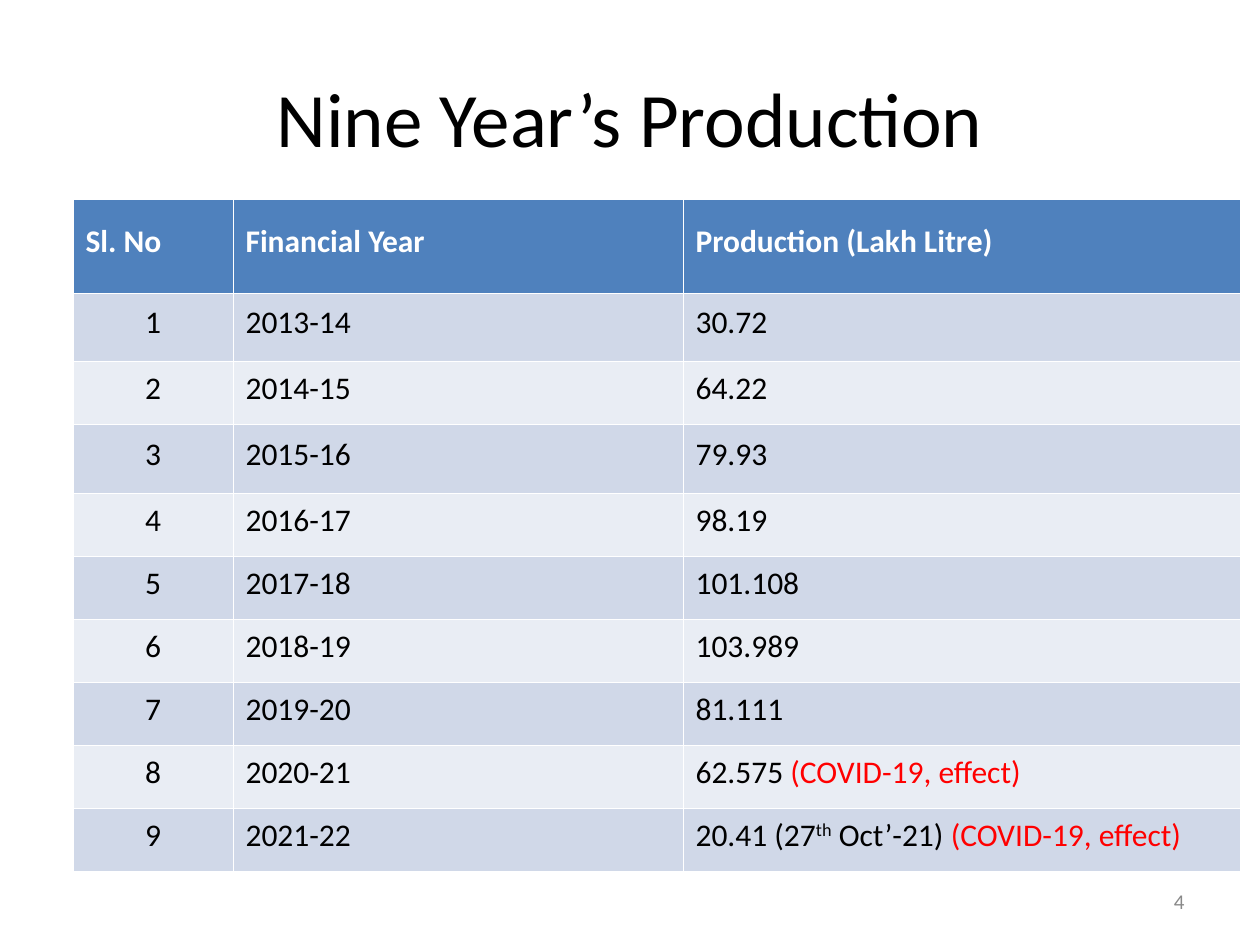
"""Build the slide with the table of nine years of production."""
from lxml import etree
from pptx import Presentation, util as u
from pptx.dml.color import RGBColor
from pptx.enum import text as t
from pptx.oxml import ns

TITLE = "Nine Year’s Production"
PAGE_NUMBER = "4"
HEADERS = ("Sl. No", "Financial Year", "Production (Lakh Litre)")
FIRST_YEAR = 2013
COVID = ("(COVID-19, effect)", "red")
PRODUCTION = (
    "30.72", "64.22", "79.93", "98.19", "101.108", "103.989", "81.111",
    ("62.575 ", COVID),
    ("20.41 (27", ("th", "black", 30), " Oct’-21) ", COVID),
)
COLORS = {
    "black": "000000", "white": "FFFFFF", "red": "FF0000", "gray": "898989",
    "header": "4F81BD", "odd": "D0D8E8", "even": "E9EDF4",
}
COLUMN_WIDTHS = (160, 450, 557)
ROW_HEIGHTS = (94, 68, 63, 69) + (63,) * 6
TABLE_LEFT, TABLE_TOP = 73, 199
TITLE_BOX = (63, 38, 1134, 157)
NUMBER_BOX = (903, 876, 294, 50)
FONT = "Calibri"
BORDER_WIDTH = 762
ALIGN = {"left": t.PP_ALIGN.LEFT, "center": t.PP_ALIGN.CENTER, "right": t.PP_ALIGN.RIGHT}


def px(length):
    return u.Emu(round(length * 914400 / 126))


def rgb(name):
    return RGBColor.from_string(COLORS[name])


def write(frame, content, size=18, color="black", bold=False, align="left", spacing=None):
    frame.word_wrap = True
    paragraph = frame.paragraphs[0]
    paragraph.alignment = ALIGN[align]
    paragraph.line_spacing = spacing
    for part in (content,) if isinstance(content, str) else content:
        words, tint, *raised = (part, color) if isinstance(part, str) else part
        run = paragraph.add_run()
        run.text = words
        run.font.name, run.font.size, run.font.bold = FONT, u.Pt(size), bold
        run.font.color.rgb = rgb(tint)
        for percent in raised:
            run._r.get_or_add_rPr().set("baseline", str(percent * 1000))


def add_text(slide, box, content, **style):
    shape = slide.shapes.add_textbox(*map(px, box))
    shape.text_frame.vertical_anchor = t.MSO_ANCHOR.MIDDLE
    write(shape.text_frame, content, **style)


def style_cell(cell, fill):
    properties = cell._tc.get_or_add_tcPr()
    for side in ("a:lnL", "a:lnR", "a:lnT", "a:lnB"):
        line = etree.SubElement(properties, ns.qn(side), w=str(BORDER_WIDTH))
        solid = etree.SubElement(line, ns.qn("a:solidFill"))
        etree.SubElement(solid, ns.qn("a:srgbClr"), val=COLORS["white"])
    cell.fill.solid()
    cell.fill.fore_color.rgb = rgb(fill)
    cell.vertical_anchor = t.MSO_ANCHOR.MIDDLE


def add_production_table(slide):
    rows = [HEADERS]
    for index, amount in enumerate(PRODUCTION):
        year = FIRST_YEAR + index
        rows.append((str(index + 1), f"{year}-{(year + 1) % 100}", amount))
    size = (sum(COLUMN_WIDTHS), sum(ROW_HEIGHTS))
    frame = slide.shapes.add_table(
        len(rows), len(HEADERS), *map(px, (TABLE_LEFT, TABLE_TOP, *size)))
    table = frame.table
    for column, width in zip(table.columns, COLUMN_WIDTHS):
        column.width = px(width)
    for row, height in zip(table.rows, ROW_HEIGHTS):
        row.height = px(height)
    for i, row in enumerate(rows):
        header = i == 0
        fill = "header" if header else ("even", "odd")[i % 2]
        for j, content in enumerate(row):
            cell = table.cell(i, j)
            style_cell(cell, fill)
            write(cell.text_frame, content, bold=header, spacing=0.58,
                  color="white" if header else "black",
                  align="center" if j == 0 and not header else "left")


def main():
    presentation = Presentation()
    presentation.slide_width, presentation.slide_height = px(1260), px(945)
    slide = presentation.slides.add_slide(presentation.slide_layouts[6])
    add_text(slide, TITLE_BOX, TITLE, size=44, align="center")
    add_production_table(slide)
    add_text(slide, NUMBER_BOX, PAGE_NUMBER, size=12, color="gray", align="right")
    presentation.save("out.pptx")


if __name__ == "__main__":
    main()
